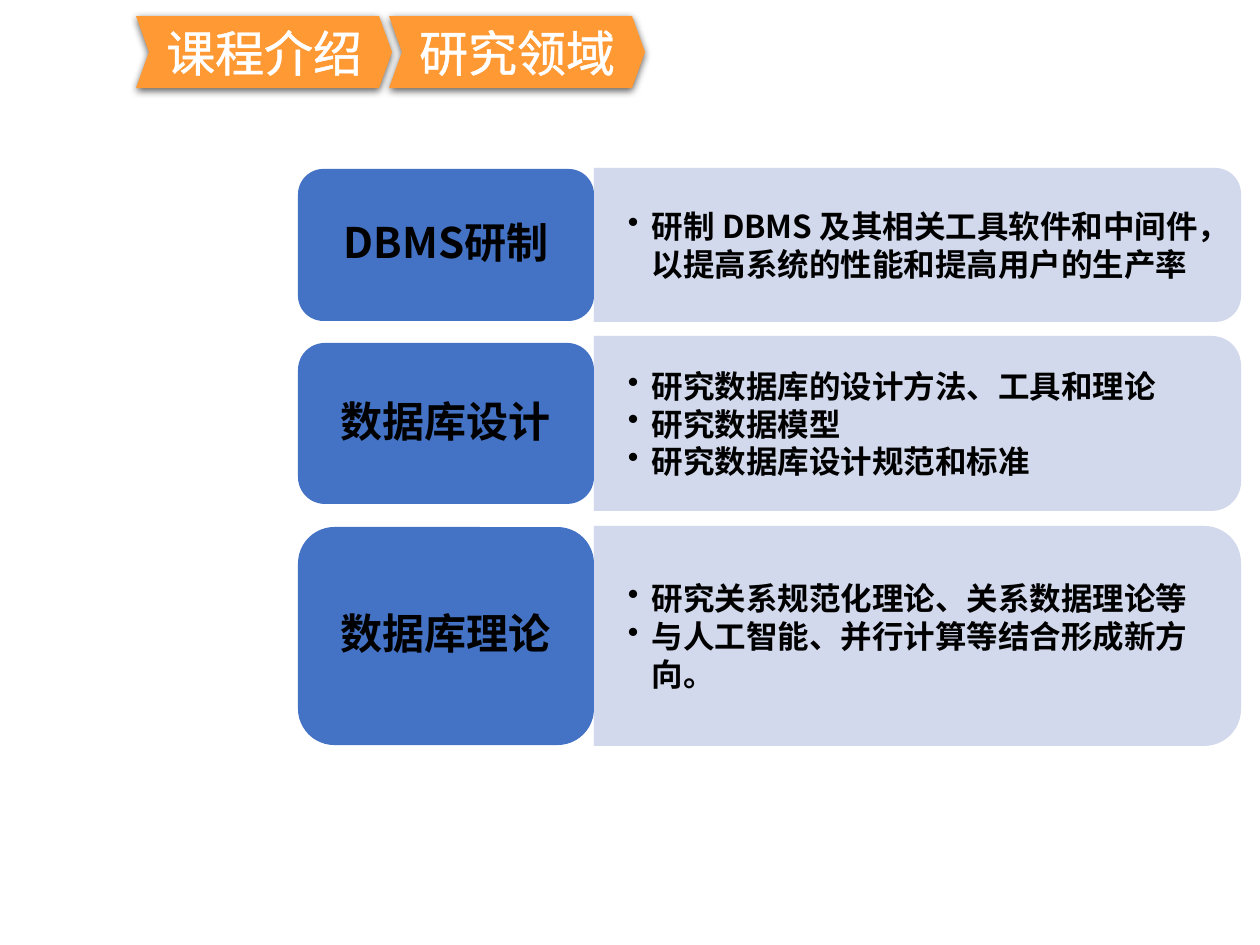
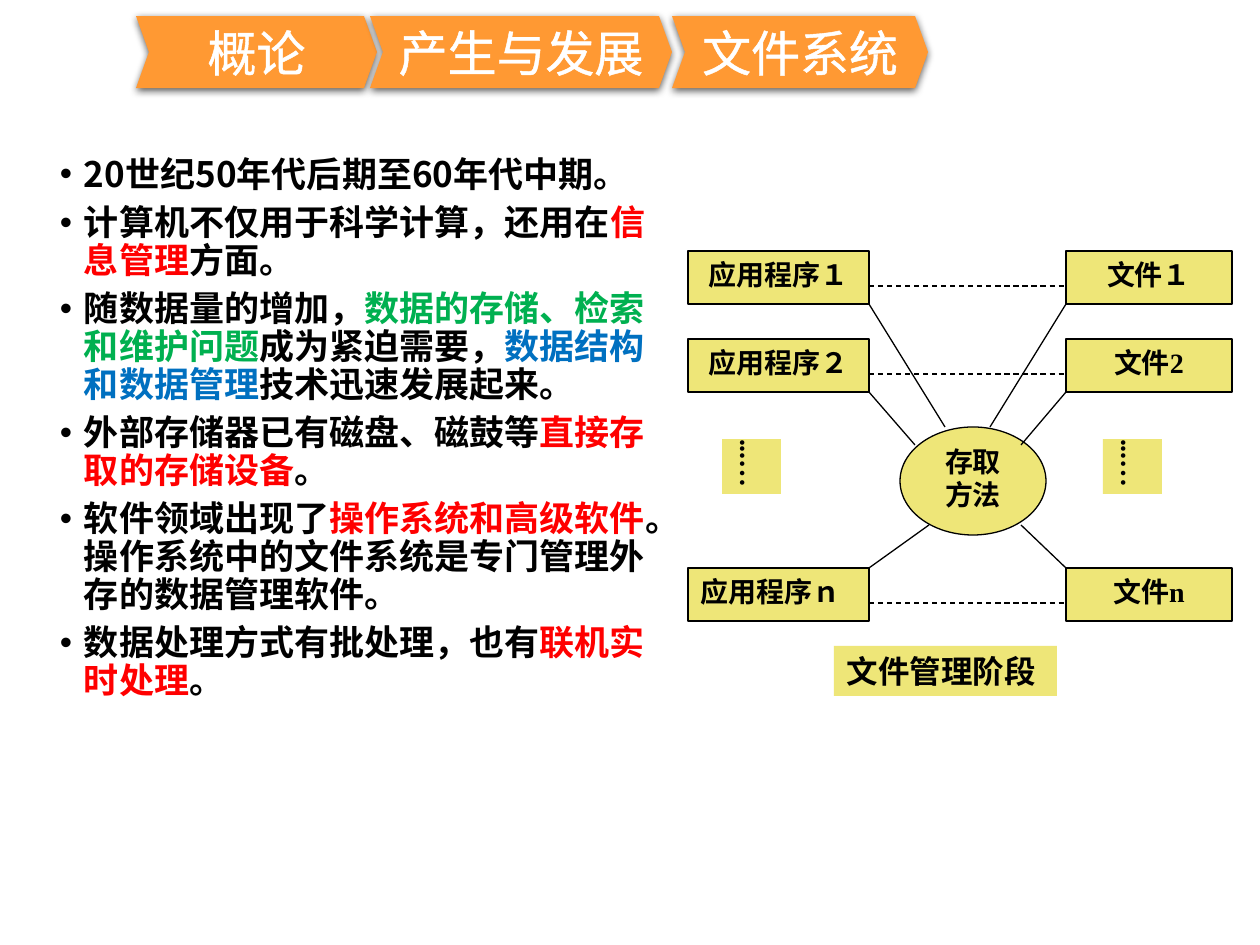
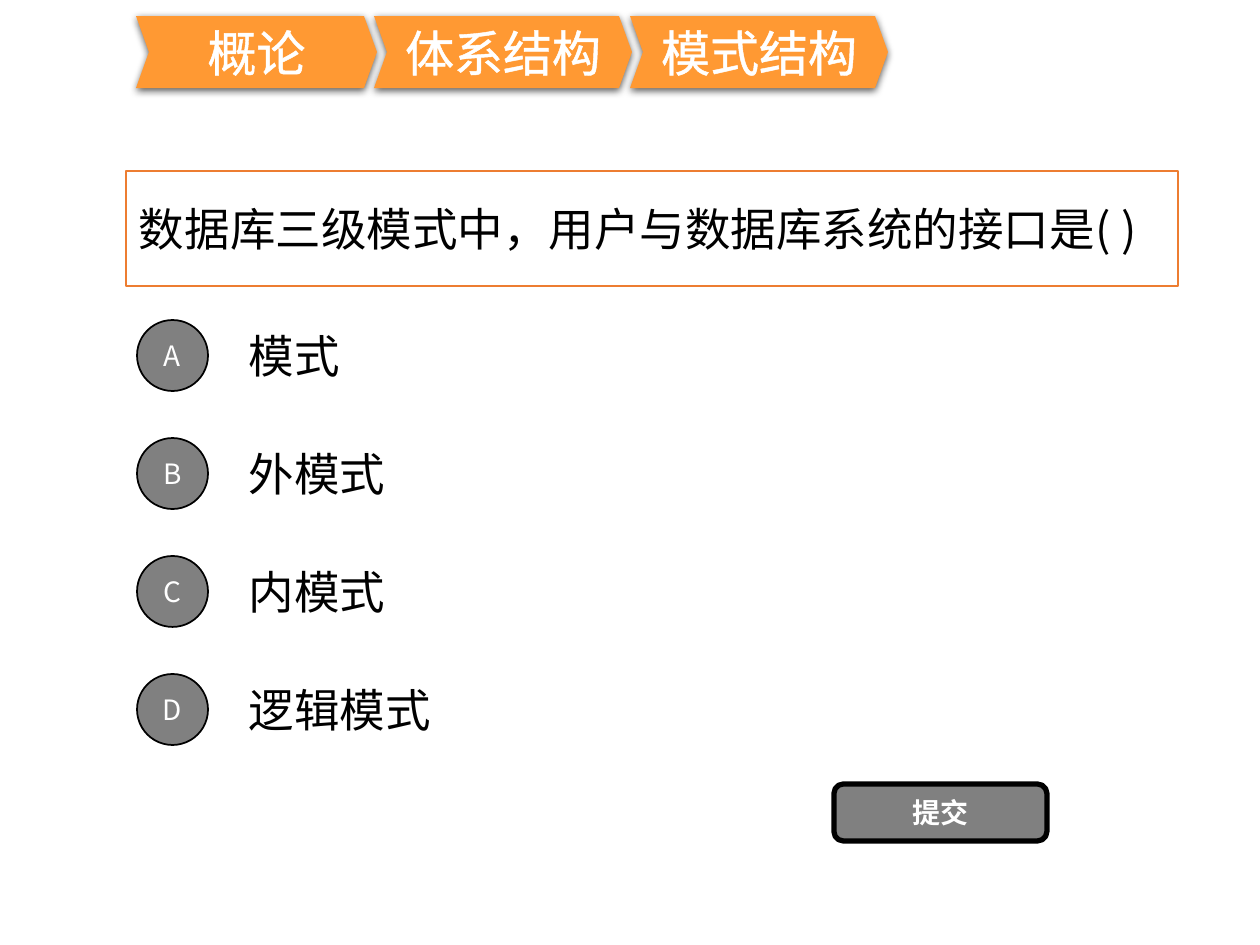
from lxml import etree
from pptx import Presentation
from pptx import util as u
from pptx.dml.color import RGBColor
from pptx.enum import dml, shapes, text
from pptx.oxml import ns

PX = 914400 / 126
SANS = "Noto Sans CJK SC"
SERIF = "Times New Roman"
BLACK = RGBColor(0x00, 0x00, 0x00)
WHITE = RGBColor(0xFF, 0xFF, 0xFF)
ORANGE = RGBColor(0xFF, 0x99, 0x33)
RUST = RGBColor(0xED, 0x7D, 0x31)
BLUE = RGBColor(0x44, 0x72, 0xC4)
PALE = RGBColor(0xCF, 0xD5, 0xEA)
YELLOW = RGBColor(0xEE, 0xE6, 0x78)
GRAY = RGBColor(0x80, 0x80, 0x80)
RED = RGBColor(0xFF, 0x00, 0x00)
GREEN = RGBColor(0x00, 0xB0, 0x50)
AZURE = RGBColor(0x00, 0x70, 0xC0)

LEFT, CENTER = text.PP_ALIGN.LEFT, text.PP_ALIGN.CENTER
MIDDLE, TOP = text.MSO_ANCHOR.MIDDLE, text.MSO_ANCHOR.TOP
KINDS = shapes.MSO_SHAPE


def emu(px):
    return u.Emu(round(px * PX))


def child(parent, tag, **attributes):
    return etree.SubElement(parent, ns.qn(tag), attributes)


def outline_text(span):
    line = etree.Element(ns.qn("a:ln"), w=str(u.Pt(1.45)))
    child(child(line, "a:solidFill"), "a:srgbClr", val=str(WHITE))
    span.font._element.insert(0, line)


def write(box, paragraphs, size=16, color=BLACK, bold=False, font=SANS,
          align=LEFT, anchor=MIDDLE, insets=(13, 6, 13, 6), indent=None,
          level=0, spacing=None, before=0, outlined=False):
    frame = box.text_frame
    frame.word_wrap = True
    frame.auto_size = text.MSO_AUTO_SIZE.NONE
    frame.vertical_anchor = anchor
    (frame.margin_left, frame.margin_top,
     frame.margin_right, frame.margin_bottom) = map(emu, insets)
    for number, parts in enumerate(paragraphs):
        para = frame.add_paragraph() if number else frame.paragraphs[0]
        para.level = level
        para.alignment = align
        if indent:
            properties = para._p.get_or_add_pPr()
            properties.set("marL", str(emu(indent)))
            properties.set("indent", str(emu(-24)))
            child(properties, "a:buChar", char="•")
        if spacing:
            para.line_spacing = spacing
        para.space_before = u.Pt(before if number else 0)
        for part in [parts] if isinstance(parts, str) else parts:
            words, tint = (part, color) if isinstance(part, str) else part
            span = para.add_run()
            span.text = words
            span.font.size = u.Pt(size)
            span.font.bold = bold
            span.font.name = font
            span.font.color.rgb = tint
            child(span.font._element, "a:ea", typeface=SANS)
            if outlined:
                outline_text(span)


class SlideBuilder:
    def __init__(self, deck):
        self.deck = deck
        self.page = None

    def start(self, layout, crumbs):
        self.page = self.deck.slides.add_slide(self.deck.slide_layouts[layout])
        for label, left, width in crumbs:
            self.crumb(label, left, width)

    def shape(self, kind, left, top, width, height, fill, line=None, weight=0.75):
        box = self.page.shapes.add_shape(kind, *map(emu, (left, top, width, height)))
        box.shadow.inherit = False
        box.fill.solid()
        box.fill.fore_color.rgb = fill
        if line is None:
            box.line.fill.background()
        else:
            box.line.color.rgb = line
            box.line.width = u.Pt(weight)
        return box

    def textbox(self, left, top, width, height, paragraphs, **style):
        box = self.page.shapes.add_textbox(*map(emu, (left, top, width, height)))
        write(box, paragraphs, **style)

    def crumb(self, label, left, width):
        box = self.shape(KINDS.CHEVRON, left, 16, width, 72, ORANGE)
        box.adjustments[0] = 0.18
        effects = box.element.spPr.find(ns.qn("a:effectLst"))
        shadow = child(effects, "a:outerShdw", blurRad=str(u.Pt(4.5)),
                       dist=str(u.Pt(1.5)), dir="5400000", rotWithShape="0")
        child(child(shadow, "a:srgbClr", val=str(BLACK)), "a:alpha", val="63000")
        write(box, [label], size=28, color=WHITE, align=CENTER, outlined=True)

    def panel(self, left, top, width, height):
        shift = (width - height) / 2
        box = self.shape(KINDS.ROUND_2_SAME_RECTANGLE, left + shift, top - shift,
                         height, width, PALE)
        box.rotation = 90
        tint = box.element.spPr.find(ns.qn("a:solidFill"))[0]
        child(tint, "a:alpha", val="90000")

    def node(self, label, left, top, width, height, kind=KINDS.RECTANGLE,
             line=BLACK, align=CENTER):
        box = self.shape(kind, left, top, width, height, YELLOW, line)
        write(box, [label], bold=True, font=SERIF, align=align,
              insets=(13, 0, 13, 6))
        return box

    def line(self, x1, y1, x2, y2, dashed=False):
        link = self.page.shapes.add_connector(
            shapes.MSO_CONNECTOR.STRAIGHT, *map(emu, (x1, y1, x2, y2)))
        link.line.color.rgb = BLACK
        link.line.width = u.Pt(0.75)
        if dashed:
            link.line.dash_style = dml.MSO_LINE.DASH
        child(link._element.spPr, "a:effectLst")

    def body(self, left, top, width, height, paragraphs, **style):
        title = self.page.shapes.title
        title.element.getparent().remove(title.element)
        box = self.page.placeholders[1]
        box.left, box.top, box.width, box.height = map(emu, (left, top, width, height))
        write(box, paragraphs, **style)


def research_fields(builder):
    builder.start(6, [("课程介绍", 136, 256), ("研究领域", 389, 256)])
    fields = [
        ("DBMS研制", 169, 152, 154,
         ["研制 DBMS 及其相关工具软件和中间件，以提高系统的性能和提高用户的生产率"]),
        ("数据库设计", 343, 161, 175,
         ["研究数据库的设计方法、工具和理论", "研究数据模型",
          "研究数据库设计规范和标准"]),
        ("数据库理论", 527, 218, 220,
         ["研究关系规范化理论、关系数据理论等",
          "与人工智能、并行计算等结合形成新方向。"]),
    ]
    for name, top, height, panel_height, topics in fields:
        panel_top = top - (panel_height - height) / 2
        builder.panel(594, panel_top, 647, panel_height)
        builder.textbox(594, panel_top, 640, panel_height, topics, size=18,
                        bold=True, insets=(34, 18, 34, 18), indent=24, level=1)
        card = builder.shape(KINDS.ROUNDED_RECTANGLE, 298, top, 296, height, BLUE)
        write(card, [name], size=24, bold=True, align=CENTER, spacing=0.9)


def file_system(builder):
    builder.start(1, [("概论", 136, 241), ("产生与发展", 370, 302),
                      ("文件系统", 672, 256)])
    builder.body(0, 151, 687, 688, [
        "20世纪50年代后期至60年代中期。",
        ["计算机不仅用于科学计算，还用在", ("信息管理", RED), "方面。"],
        ["随数据量的增加，", ("数据的存储、检索和维护问题", GREEN),
         "成为紧迫需要，", ("数据结构和数据管理", AZURE), "技术迅速发展起来。"],
        ["外部存储器已有磁盘、磁鼓等", ("直接存取的存储设备", RED), "。"],
        ["软件领域出现了", ("操作系统和高级软件", RED),
         "。操作系统中的文件系统是专门管理外存的数据管理软件。"],
        ["数据处理方式有批处理，也有", ("联机实时处理", RED), "。"],
    ], size=20, bold=True, anchor=TOP, indent=71, level=1, spacing=0.9, before=6)

    program_right, file_left, height = 869, 1066, 53
    rows = [("应用程序１", "文件１", 251, CENTER),
            ("应用程序２", "文件2", 339, CENTER),
            ("应用程序ｎ", "文件n", 568, text.PP_ALIGN.JUSTIFY)]
    for program, file, top, align in rows:
        builder.node(program, 688, top, 181, height, align=align)
        builder.node(file, file_left, top, 166, height)
        builder.line(program_right, top + 35, file_left, top + 35, dashed=True)

    builder.node("存取方法", 900, 427, 146, 108, kind=KINDS.OVAL)
    spokes = [(304, 945, 990, 427), (392, 915, 1021, 445), (568, 929, 1021, 525)]
    for corner_y, hub_left, hub_right, hub_y in spokes:
        builder.line(program_right, corner_y, hub_left, hub_y)
        builder.line(file_left, corner_y, hub_right, hub_y)

    for left in (722, 1103):
        dots = builder.node("...…", left, 439, 59, 55, line=None, align=LEFT)
        dots.element.txBody.bodyPr.set("vert", "eaVert")
    caption = builder.shape(KINDS.RECTANGLE, 834, 646, 223, 50, YELLOW)
    write(caption, ["文件管理阶段"], size=18, bold=True)


def schema_quiz(builder):
    builder.start(6, [("概论", 136, 241), ("体系结构", 374, 258),
                      ("模式结构", 630, 258)])
    question = builder.shape(KINDS.RECTANGLE, 126, 171, 1052, 115, WHITE, RUST, 1)
    write(question, ["数据库三级模式中，用户与数据库系统的接口是( )"], size=26)
    options = ["模式", "外模式", "内模式", "逻辑模式"]
    for number, (letter, option) in enumerate(zip("ABCD", options)):
        top = 311 + 118 * number
        builder.textbox(236, top, 882, 88, [option], size=26)
        badge = builder.shape(KINDS.OVAL, 137, top + 9, 71, 71, GRAY, BLACK, 1)
        write(badge, [letter], color=WHITE, align=CENTER)
    submit = builder.shape(KINDS.ROUNDED_RECTANGLE, 834, 784, 213, 57, GRAY, BLACK, 3)
    write(submit, ["提交"], color=WHITE, bold=True, align=CENTER)


def main():
    deck = Presentation()
    deck.slide_width, deck.slide_height = emu(1260), emu(945)
    builder = SlideBuilder(deck)
    research_fields(builder)
    file_system(builder)
    schema_quiz(builder)
    deck.save("out.pptx")


if __name__ == "__main__":
    main()
